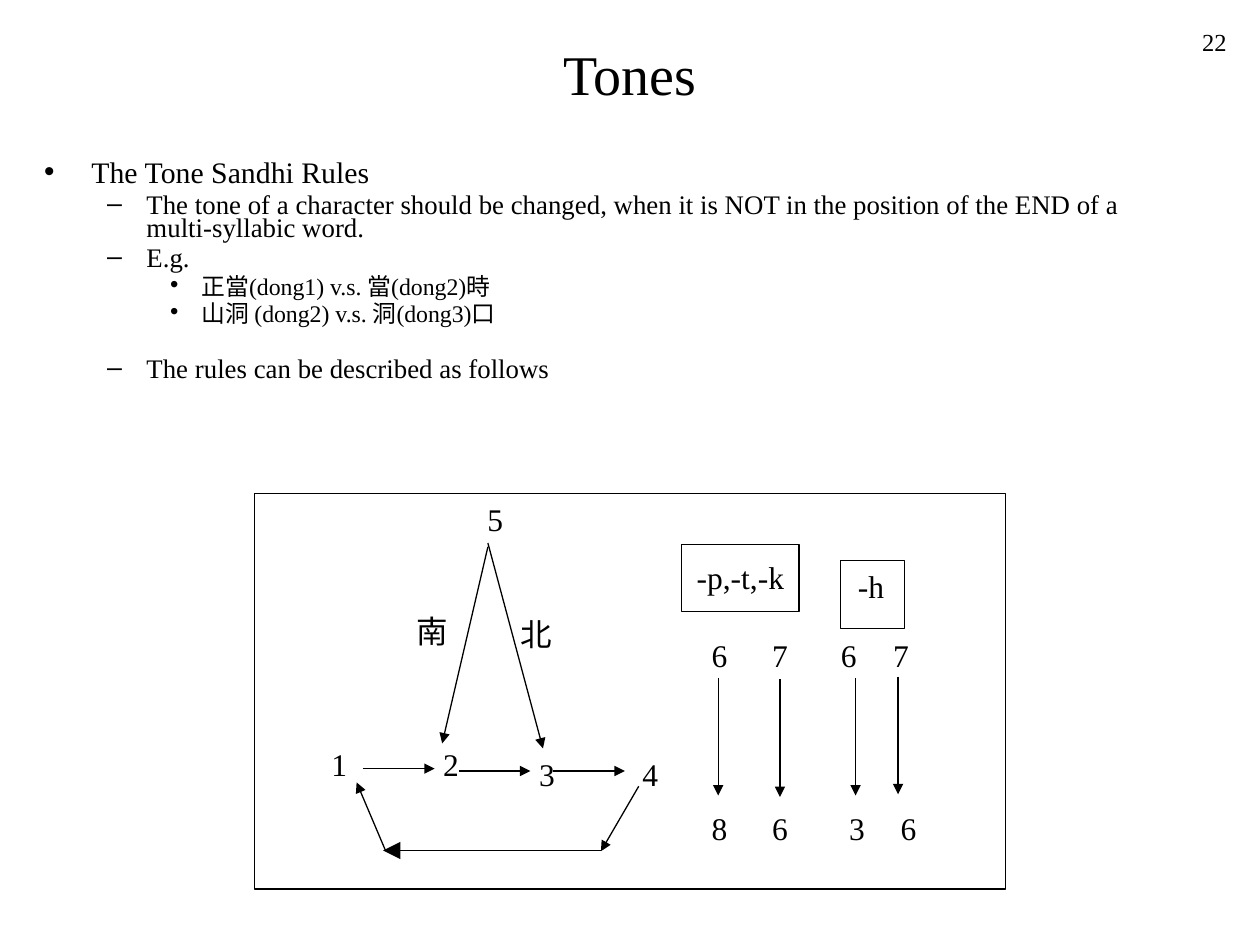
import pptx
import pptx.util
import pptx.dml.color
import pptx.enum.shapes
import pptx.enum.text
import lxml.etree

Pt = pptx.util.Pt
ALIGN = pptx.enum.text.PP_ALIGN
ANCHOR = pptx.enum.text.MSO_ANCHOR
COLORS = {"ink": "000000", "paper": "FFFFFF"}
COLORS = {name: pptx.dml.color.RGBColor.from_string(value) for name, value in COLORS.items()}
FONT = "Times New Roman"
LINE_WIDTH = Pt(0.75)
NAMESPACE = "{http://schemas.openxmlformats.org/drawingml/2006/main}"


def write(paragraph, text, size, **formats):
    for name, value in formats.items():
        setattr(paragraph, name, value)
    run = paragraph.add_run()
    run.text = text
    for name, value in {"name": FONT, "size": Pt(size)}.items():
        setattr(run.font, name, value)
    run.font.color.rgb = COLORS["ink"]


def place(shape, left, top, width, height):
    box = {"left": left, "top": top, "width": width, "height": height}
    for name, value in box.items():
        setattr(shape, name, Pt(value))


presentation = pptx.Presentation()
presentation.slide_width, presentation.slide_height = Pt(720), Pt(540)
slide = presentation.slides.add_slide(presentation.slide_layouts[1])
shapes = slide.shapes

# Title
title = shapes.title
place(title, 12, 12, 696, 60)
title.text_frame.auto_size = pptx.enum.text.MSO_AUTO_SIZE.NONE
title.text_frame.vertical_anchor = ANCHOR.MIDDLE
write(title.text_frame.paragraphs[0], "Tones", 32, alignment=ALIGN.CENTER)

# Rules list: level, text, space before
body = slide.placeholders[1]
place(body, 18, 90, 654, 138)
body.text_frame.auto_size = pptx.enum.text.MSO_AUTO_SIZE.NONE
rules = [
    (0, "The Tone Sandhi Rules", 0),
    (1, "The tone of a character should be changed, when it is NOT in the "
        "position of the END of a multi-syllabic word.", 4.5),
    (1, "E.g.", 4.5),
    (2, "正當(dong1) v.s. 當(dong2)時", 4),
    (2, "山洞 (dong2) v.s. 洞(dong3)口", 4),
    (1, "The rules can be described as follows", 19.5),
]
level_formats = [(17, 27, -27), (15.3, 58.5, -22.5), (13.6, 90, -18)]
for index, (level, text, space) in enumerate(rules):
    frame = body.text_frame
    paragraph = frame.add_paragraph() if index else frame.paragraphs[0]
    size, margin, indent = level_formats[level]
    write(paragraph, text, size, level=level, line_spacing=0.7, space_before=Pt(space))
    properties = paragraph._p.get_or_add_pPr()
    properties.set("marL", str(Pt(margin)))
    properties.set("indent", str(Pt(indent)))

# Diagram frame and the boxes for the syllable endings
for left, top, width, height in [
    (145.5, 282, 429, 226), (389.3, 311, 67.2, 38.6), (480.2, 320.4, 36.8, 38.6)
]:
    rectangle = shapes.add_shape(
        pptx.enum.shapes.MSO_SHAPE.RECTANGLE, Pt(left), Pt(top), Pt(width), Pt(height))
    rectangle.shadow.inherit = False
    rectangle.fill.solid()
    rectangle.fill.fore_color.rgb = COLORS["paper"]
    rectangle.line.color.rgb = COLORS["ink"]
    rectangle.line.width = LINE_WIDTH

# Labels: text, left, top, width, height
tone_labels = [
    ("1", 182.2, 422), ("2", 246.2, 422), ("3", 301, 427.7), ("4", 360, 427.7),
    ("5", 271.4, 282),
]
labels = [(text, left, top, 34, 48) for text, left, top in tone_labels]
labels += [
    ("南", 231.1, 346.3, 45.4, 53.3), ("北", 290.2, 347.8, 45.4, 53.3),
    ("-p,-t,-k", 391, 315.4, 85, 56.2), ("-h", 483.1, 320.4, 47.5, 57.6),
]
for top, row in [
    (360, [("6", 399.6), ("7", 434.2), ("6", 473.4), ("7", 503.3)]),
    (458.6, [("8", 399.6), ("6", 434.2), ("3", 478.1), ("6", 507.6)]),
]:
    labels += [(text, left, top, 36, 54.7) for text, left in row]
for text, *box in labels:
    label = shapes.add_textbox(*map(Pt, box))
    label.text_frame.word_wrap = True
    write(label.text_frame.paragraphs[0], text, 18)

# Arrows: start x, start y, end x, end y
arrows = [
    (207.4, 439.2, 248.4, 439.2),
    (262.1, 440.6, 303.1, 440.6),
    (316.1, 440.6, 357.1, 440.6),
    (365, 449.3, 343.4, 486.4),
    (343.4, 486, 218.9, 486),
    (220.3, 486, 203.8, 447.1),
    (278.8, 312.5, 252.7, 424.8),
    (278.8, 310.3, 310.3, 427.7),
]
arrows += [(x, top, x, top + 67.3) for x, top in [
    (410.4, 387.3), (445.7, 388.1), (488.9, 387.3), (513.2, 386.6)]]
for points in arrows:
    arrow = shapes.add_connector(
        pptx.enum.shapes.MSO_CONNECTOR.STRAIGHT, *map(Pt, points))
    arrow.line.color.rgb = COLORS["ink"]
    arrow.line.width = LINE_WIDTH
    tail = lxml.etree.SubElement(arrow.line._get_or_add_ln(), NAMESPACE + "tailEnd")
    tail.set("type", "triangle")
    if points[0] - points[2] > 100:  # the long return arrow has a large head
        tail.set("w", "lg")
        tail.set("len", "lg")
    lxml.etree.SubElement(arrow._element.spPr, NAMESPACE + "effectLst")

# Slide number
number = shapes.add_textbox(Pt(558), Pt(12), Pt(150), Pt(36))
number.text_frame.word_wrap = True
write(number.text_frame.paragraphs[0], "22", 14, alignment=ALIGN.RIGHT)

presentation.save("out.pptx")
